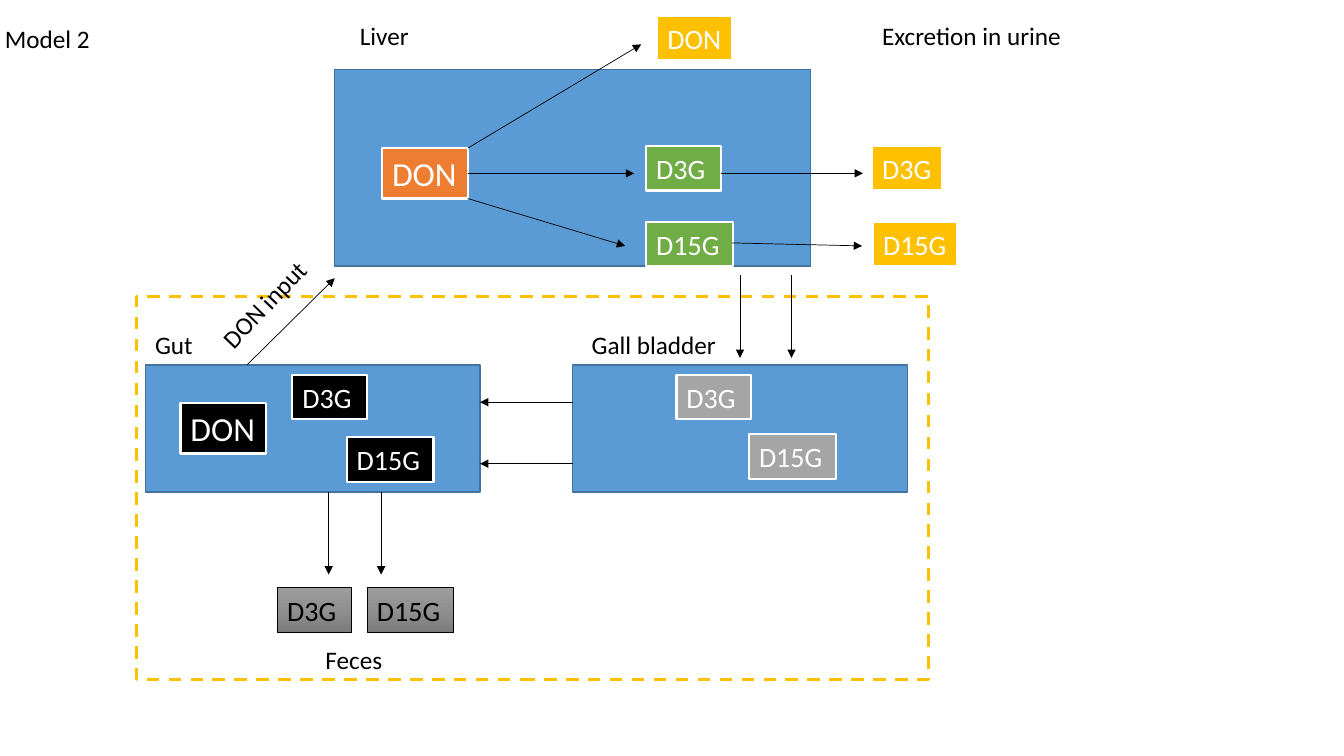
"""Build the Model 2 slide: DON metabolism through liver, gut and gall bladder."""
from copy import deepcopy
from dataclasses import dataclass

from pptx import Presentation
from pptx.dml.color import RGBColor
from pptx.enum.dml import MSO_LINE
from pptx.enum.shapes import MSO_CONNECTOR, MSO_SHAPE
from pptx.enum.text import MSO_AUTO_SIZE as AutoSize, PP_ALIGN
from pptx.oxml.ns import qn
from pptx.oxml.xmlchemy import OxmlElement
from pptx.util import Inches, Pt


@dataclass(frozen=True)
class Theme:
    font: str = "Calibri"
    label_size: int = 18
    metabolite_size: int = 20
    toxin_size: int = 24
    black: str = "000000"
    white: str = "FFFFFF"
    organ: str = "5B9BD5"
    organ_edge: str = "43739E"
    liver_toxin: str = "ED7D31"
    liver_product: str = "70AD47"
    urine: str = "FFC000"
    bile: str = "A5A5A5"
    feces: tuple = ("9D9D9D", "909090", "7C7C7C")


theme = Theme()


def add_rect(left, top, width, height, fill, edge, edge_width):
    rect = slide.shapes.add_shape(
        MSO_SHAPE.RECTANGLE, Inches(left), Inches(top), Inches(width), Inches(height))
    rect.shadow.inherit = False
    if fill is None:
        rect.fill.background()
    elif isinstance(fill, tuple):
        rect.fill.gradient()
        rect.fill.gradient_angle = 270
        stops = rect.element.spPr.find(qn("a:gradFill")).find(qn("a:gsLst"))
        stops.insert(1, deepcopy(stops[0]))
        for position, (stop, shade) in enumerate(zip(rect.fill.gradient_stops, fill)):
            stop.position = position / 2
            stop.color.rgb = RGBColor.from_string(shade)
    else:
        rect.fill.solid()
        rect.fill.fore_color.rgb = RGBColor.from_string(fill)
    rect.line.color.rgb = RGBColor.from_string(edge)
    rect.line.width = Pt(edge_width)
    return rect


def write(holder, wording, size, color, wrap):
    frame = holder.text_frame
    frame.text = wording
    frame.word_wrap = wrap
    frame.auto_size = AutoSize.SHAPE_TO_FIT_TEXT
    paragraph = frame.paragraphs[0]
    paragraph.alignment = PP_ALIGN.LEFT
    font = paragraph.runs[0].font
    font.name = theme.font
    font.size = Pt(size)
    font.color.rgb = RGBColor.from_string(color)


deck = Presentation()
deck.slide_width, deck.slide_height = Inches(13.33), Inches(7.5)
slide = deck.slides.add_slide(deck.slide_layouts[6])

digestive_tract = add_rect(1.35, 2.94, 7.86, 3.8, None, theme.urine, 2.25)
digestive_tract.line.dash_style = MSO_LINE.DASH

organs = [(3.32, 0.69, 4.72, 1.95), (5.68, 3.62, 3.32, 1.26), (1.44, 3.62, 3.32, 1.26)]
for bounds in organs:
    add_rect(*bounds, theme.organ, theme.organ_edge, 1)

for left, top, fill in [(3.79, 1.47, theme.liver_toxin), (1.79, 4, theme.black)]:
    toxin = add_rect(left, top, 0.85, 0.5, fill, theme.white, 1.5)
    write(toxin, "DON", theme.toxin_size, theme.white, False)

urine_outputs = [("DON", 6.52, 0.16, 0.74), ("D3G", 8.65, 1.45, 0.69), ("D15G", 8.66, 2.2, 0.83)]
for wording, left, top, width in urine_outputs:
    output = add_rect(left, top, width, 0.44, theme.urine, theme.white, 1.5)
    write(output, wording, theme.metabolite_size, theme.white, False)

metabolite_pairs = [
    (theme.liver_product, (6.41, 1.45), (6.41, 2.2)),
    (theme.bile, (6.71, 3.72), (7.43, 4.31)),
    (theme.black, (2.9, 3.72), (3.44, 4.34)),
    (theme.feces, (2.75, 5.83), (3.64, 5.83)),
]
for fill, d3g_corner, d15g_corner in metabolite_pairs:
    excreted = fill == theme.feces
    edge, edge_width = (theme.black, 0.5) if excreted else (theme.white, 1.5)
    ink = theme.black if excreted else theme.white
    for wording, corner, width in [("D3G", d3g_corner, 0.74), ("D15G", d15g_corner, 0.86)]:
        metabolite = add_rect(*corner, width, 0.44, fill, edge, edge_width)
        write(metabolite, wording, theme.metabolite_size, ink, True)

flows = [
    (4.64, 1.47, 6.36, 0.44),
    (4.64, 1.72, 6.29, 1.72),
    (4.64, 1.97, 6.2, 2.44),
    (7.15, 1.72, 8.56, 1.72),
    (7.26, 2.41, 8.55, 2.44),
    (2.45, 3.62, 3.32, 2.76),
]
flows += [(x, 2.73, x, 3.55) for x in (7.34, 7.85)]
flows += [(5.68, y, 4.76, y) for y in (3.99, 4.6)]
flows += [(x, 4.88, x, 5.7) for x in (3.26, 3.78)]
for flow in flows:
    arrow = slide.shapes.add_connector(MSO_CONNECTOR.STRAIGHT, *map(Inches, flow))
    arrow.line.color.rgb = RGBColor.from_string(theme.black)
    arrow.line.width = Pt(0.5)
    head = OxmlElement("a:tailEnd")
    head.set("type", "triangle")
    arrow.line._get_or_add_ln().append(head)
    arrow.element.spPr.append(OxmlElement("a:effectLst"))

labels = [
    ("Model 2", -0.05, 0.18, 1.05, 0),
    ("Liver", 3.47, 0.15, 0.75, 0),
    ("Excretion in urine", 8.65, 0.15, 2.06, 0),
    ("Gut", 1.44, 3.22, 0.64, 0),
    ("Gall bladder", 5.77, 3.22, 1.51, 0),
    ("DON input", 1.98, 2.81, 1.29, 313.7),
    ("Feces", 3.13, 6.34, 0.77, 0),
]
for wording, left, top, width, rotation in labels:
    label = slide.shapes.add_textbox(Inches(left), Inches(top), Inches(width), Inches(0.4))
    label.rotation = rotation
    write(label, wording, theme.label_size, theme.black, False)

deck.save("out.pptx")
